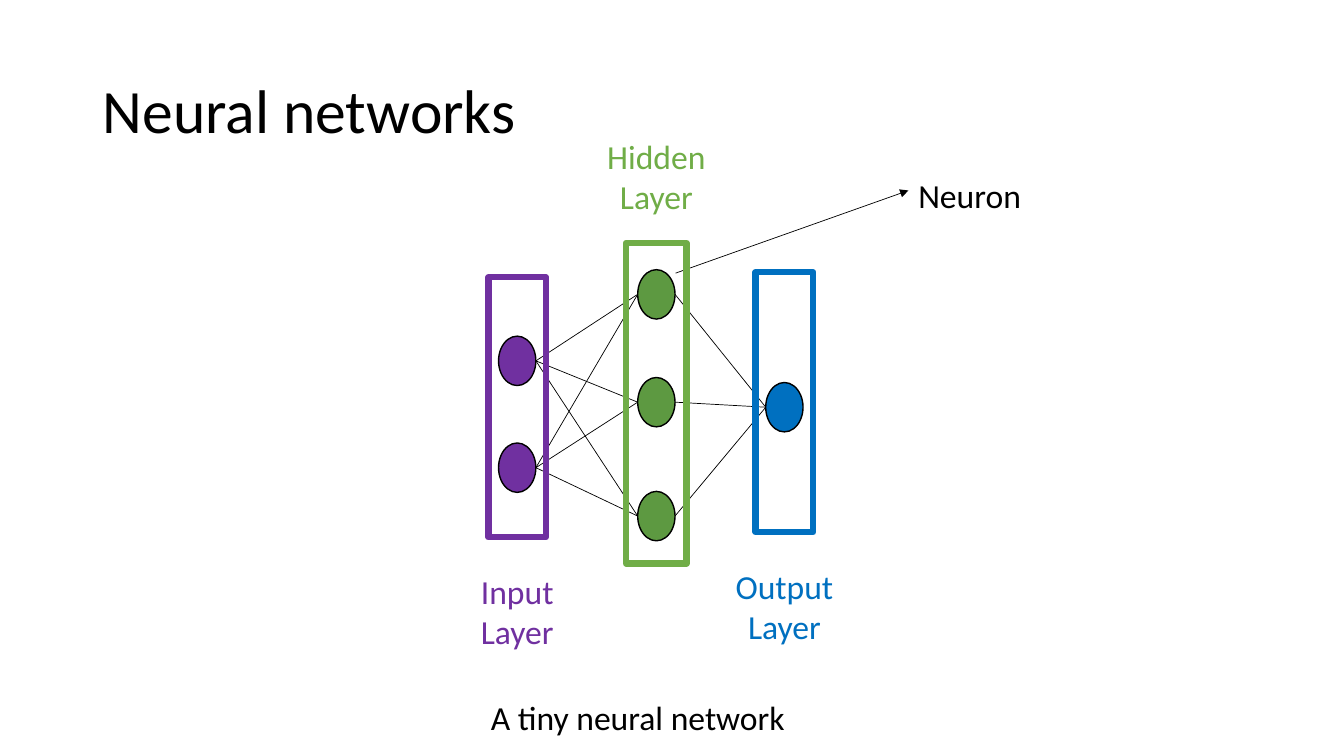
"""Build a slide that shows a tiny neural network with three labelled layers."""
from itertools import pairwise, product

from lxml import etree
from pptx import Presentation
from pptx.dml.color import RGBColor
from pptx.enum.shapes import MSO_CONNECTOR, MSO_SHAPE
from pptx.enum.text import MSO_ANCHOR, MSO_AUTO_SIZE, PP_ALIGN
from pptx.oxml.ns import qn
from pptx.util import Inches, Pt

ELLIPSE, RECTANGLE = MSO_SHAPE.OVAL, MSO_SHAPE.RECTANGLE
STRAIGHT = MSO_CONNECTOR.STRAIGHT
LEFT, CENTER = PP_ALIGN.LEFT, PP_ALIGN.CENTER

FONT = "Calibri"
BLACK = "000000"
SLIDE_WIDTH, SLIDE_HEIGHT = 13.33, 7.5
NEURON_WIDTH, NEURON_HEIGHT = 0.37, 0.49
LABEL_WIDTH, LABEL_HEIGHT = 1.68, 0.91
LINE_HEIGHT = 0.5

TITLE = ("Neural networks", (0.92, 0.4, 11.5, 1.45))
CAPTION = ("A tiny neural network", (3.92, 6.86, 4.81, LINE_HEIGHT))
CALLOUT = ("Neuron", (9.01, 1.69, 1.77, LINE_HEIGHT))
ARROW = ((6.7, 2.71), (9.01, 1.89))

LAYERS = [
    dict(label="Input Layer", label_top=5.61, center=5.13, neurons=[3.58, 4.64],
         fill="7030A0", accent="7030A0", frame=(2.75, 0.57, 2.58)),
    dict(label="Hidden Layer", label_top=1.3, center=6.51, neurons=[2.92, 3.99, 5.12],
         fill="5D9941", accent="70AD47", frame=(2.41, 0.6, 3.18)),
    dict(label="Output Layer", label_top=5.56, center=7.78, neurons=[4.04],
         fill="0070C0", accent="0070C0", frame=(2.7, 0.57, 2.58)),
]


def color(value):
    return RGBColor.from_string(value)


def inches(values):
    return [Inches(value) for value in values]


def write(frame, text, size=24, ink=BLACK, align=LEFT, spacing=1.0):
    frame.word_wrap = True
    para = frame.paragraphs[0]
    para.alignment, para.line_spacing = align, spacing
    span = para.add_run()
    span.text = text
    span.font.name, span.font.size = FONT, Pt(size)
    span.font.color.rgb = color(ink)


def add_text(page, text, place, **style):
    box = page.shapes.add_textbox(*inches(place))
    write(box.text_frame, text, **style)


def add_shape(page, kind, place, line, width, fill=None):
    shape = page.shapes.add_shape(kind, *inches(place))
    shape.shadow.inherit = False
    shape.line.color.rgb, shape.line.width = color(line), Pt(width)
    if fill:
        shape.fill.solid()
        shape.fill.fore_color.rgb = color(fill)
    else:
        shape.fill.background()


def add_line(page, start, end, arrow=False):
    line = page.shapes.add_connector(STRAIGHT, *inches(start + end))
    line.line.color.rgb, line.line.width = color(BLACK), Pt(0.5)
    if arrow:
        etree.SubElement(line.line._get_or_add_ln(), qn("a:tailEnd"), type="triangle")
    etree.SubElement(line._element.spPr, qn("a:effectLst"))


def add_title(page):
    text, place = TITLE
    title = page.shapes.title
    title.left, title.top, title.width, title.height = inches(place)
    title.text_frame.auto_size = MSO_AUTO_SIZE.NONE
    title.text_frame.vertical_anchor = MSO_ANCHOR.MIDDLE
    write(title.text_frame, text, size=44, spacing=0.9)


def add_neurons(page, layer):
    left = layer["center"] - NEURON_WIDTH / 2
    for middle in layer["neurons"]:
        place = (left, middle - NEURON_HEIGHT / 2, NEURON_WIDTH, NEURON_HEIGHT)
        add_shape(page, ELLIPSE, place, BLACK, 1, layer["fill"])


def connect_layers(page, source, target):
    start = source["center"] + NEURON_WIDTH / 2
    end = target["center"] - NEURON_WIDTH / 2
    for out_y, in_y in product(source["neurons"], target["neurons"]):
        add_line(page, (start, out_y), (end, in_y))


def add_frame(page, layer):
    center, (top, width, height) = layer["center"], layer["frame"]
    add_shape(page, RECTANGLE, (center - width / 2, top, width, height), layer["accent"], 4.5)
    place = (center - LABEL_WIDTH / 2, layer["label_top"], LABEL_WIDTH, LABEL_HEIGHT)
    add_text(page, layer["label"], place, ink=layer["accent"], align=CENTER)


def main():
    deck = Presentation()
    deck.slide_width, deck.slide_height = inches((SLIDE_WIDTH, SLIDE_HEIGHT))
    page = deck.slides.add_slide(deck.slide_layouts.get_by_name("Title Only"))
    add_title(page)
    for layer in LAYERS:
        add_neurons(page, layer)
    for source, target in pairwise(LAYERS):
        connect_layers(page, source, target)
    add_text(page, *CAPTION, align=CENTER)
    add_line(page, *ARROW, arrow=True)
    add_text(page, *CALLOUT)
    for layer in LAYERS:
        add_frame(page, layer)
    deck.save("out.pptx")


if __name__ == "__main__":
    main()
